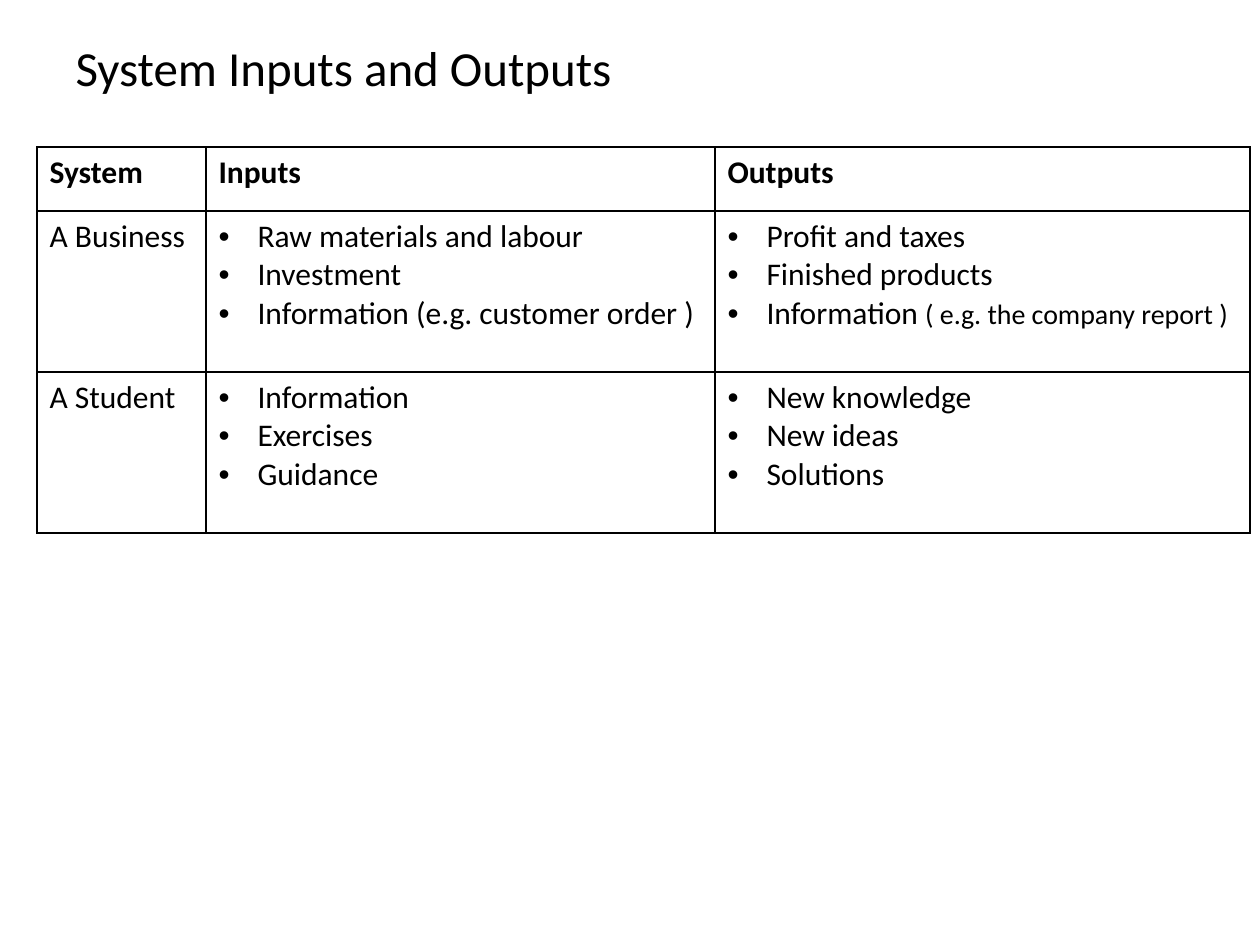
from dataclasses import dataclass

from lxml.etree import SubElement
from pptx import Presentation
from pptx.dml.color import RGBColor
from pptx.enum.text import MSO_ANCHOR, PP_ALIGN
from pptx.oxml.ns import qn
from pptx.util import Emu, Pt

SCALE = 914400 // 126
FONT = "Calibri"
COLORS = {"ink": "000000", "paper": "FFFFFF"}
COLUMN_WIDTHS = [169, 509, 535]
ROW_HEIGHTS = [64, 161, 161]
BULLET_INDENT = 39


@dataclass
class Entry:
    lines: list[str]
    bold: bool = False
    bullets: bool = False
    small_tail: str = ""


def px(length: int) -> Emu:
    return Emu(length * SCALE)


def color(name: str) -> RGBColor:
    return RGBColor.from_string(COLORS[name])


def style_font(font, size: int, bold: bool = False) -> None:
    font.name = FONT
    font.size = Pt(size)
    font.bold = bold
    font.color.rgb = color("ink")


def add_bullet(para) -> None:
    props = para._p.get_or_add_pPr()
    props.set("marL", str(px(BULLET_INDENT)))
    props.set("indent", str(-px(BULLET_INDENT)))
    SubElement(props, qn("a:buFont"), typeface="Arial")
    SubElement(props, qn("a:buChar"), char="•")


def add_borders(cell) -> None:
    props = cell._tc.get_or_add_tcPr()
    for position, side in enumerate(("lnL", "lnR", "lnT", "lnB")):
        line = SubElement(props, qn(f"a:{side}"), w=str(Pt(1)))
        fill = SubElement(line, qn("a:solidFill"))
        SubElement(fill, qn("a:srgbClr"), val=COLORS["ink"])
        props.insert(position, line)


def fill_cell(cell, entry: Entry) -> None:
    cell.fill.solid()
    cell.fill.fore_color.rgb = color("paper")
    add_borders(cell)
    frame = cell.text_frame
    frame.text = "\n".join(entry.lines)
    for para in frame.paragraphs:
        style_font(para.font, 18, entry.bold)
        for span in para.runs:
            style_font(span.font, 18, entry.bold)
        if entry.bullets:
            add_bullet(para)
    if entry.small_tail:
        span = frame.paragraphs[-1].add_run()
        span.text = entry.small_tail
        style_font(span.font, 16)


TABLE_ROWS = [
    [Entry([heading], bold=True) for heading in ("System", "Inputs", "Outputs ")],
    [
        Entry(["A Business"]),
        Entry(["Raw materials and labour", "Investment",
               "Information (e.g. customer order )"], bullets=True),
        Entry(["Profit and taxes", "Finished products", "Information "],
              bullets=True, small_tail="( e.g. the company report )"),
    ],
    [
        Entry(["A Student"]),
        Entry(["Information", "Exercises", "Guidance"], bullets=True),
        Entry(["New knowledge", "New ideas", "Solutions"], bullets=True),
    ],
]

deck = Presentation()
deck.slide_width, deck.slide_height = px(1260), px(945)
page = deck.slides.add_slide(deck.slide_layouts[5])
page.background.fill.solid()
page.background.fill.fore_color.rgb = color("paper")

# Title
title = page.shapes.title
title.left, title.top, title.width, title.height = px(63), px(38), px(1134), px(57)
title.text_frame.text = "System Inputs and Outputs"
title.text_frame.vertical_anchor = MSO_ANCHOR.MIDDLE
heading_para = title.text_frame.paragraphs[0]
heading_para.alignment = PP_ALIGN.LEFT
style_font(heading_para.font, 28)

# Table of systems
table = page.shapes.add_table(
    len(ROW_HEIGHTS), len(COLUMN_WIDTHS), px(37), px(147),
    px(sum(COLUMN_WIDTHS)), px(sum(ROW_HEIGHTS)),
).table
table.first_row = table.horz_banding = False
for column, width in zip(table.columns, COLUMN_WIDTHS):
    column.width = px(width)
for row, height, entries in zip(table.rows, ROW_HEIGHTS, TABLE_ROWS):
    row.height = px(height)
    for cell, entry in zip(row.cells, entries):
        fill_cell(cell, entry)

deck.save("out.pptx")
